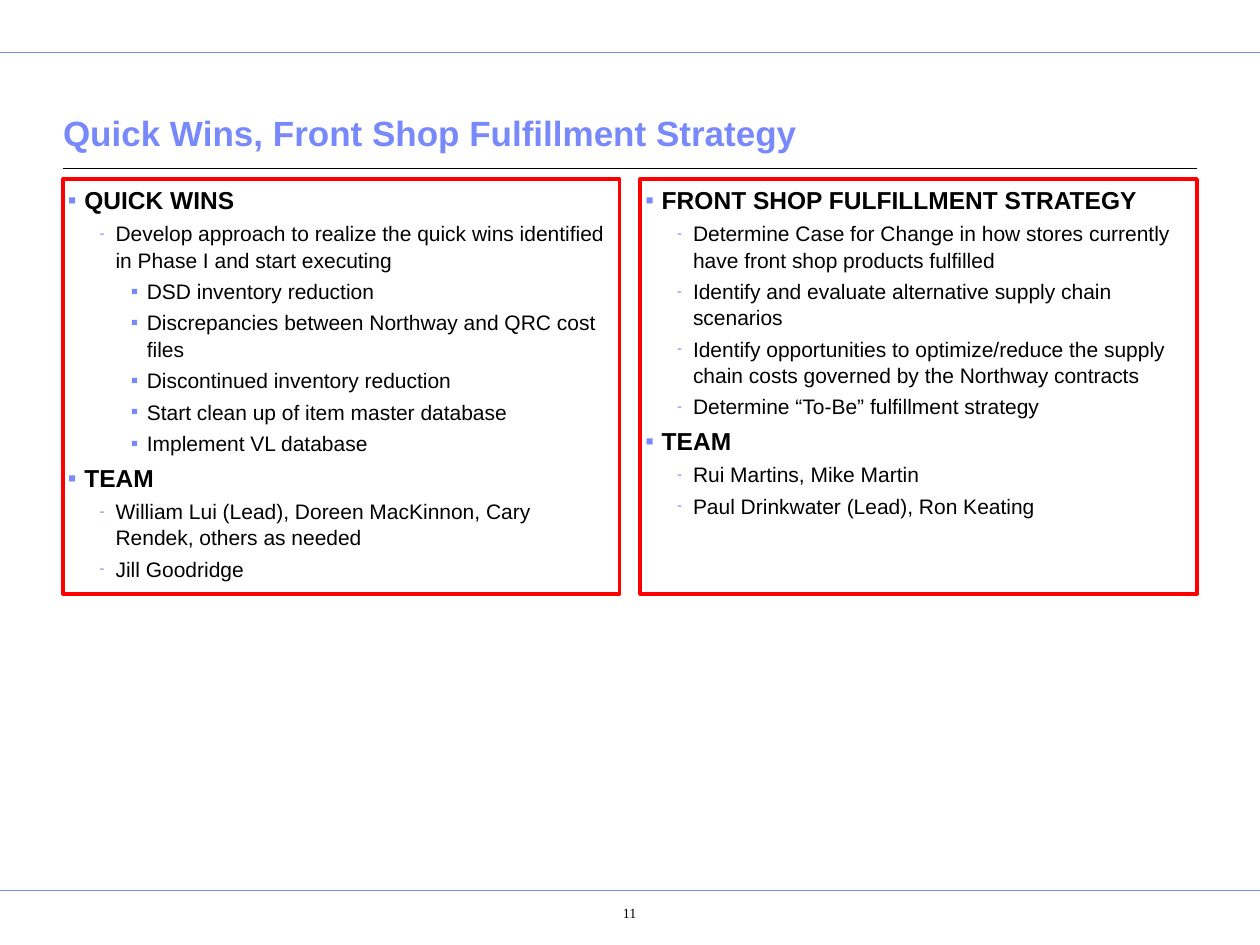
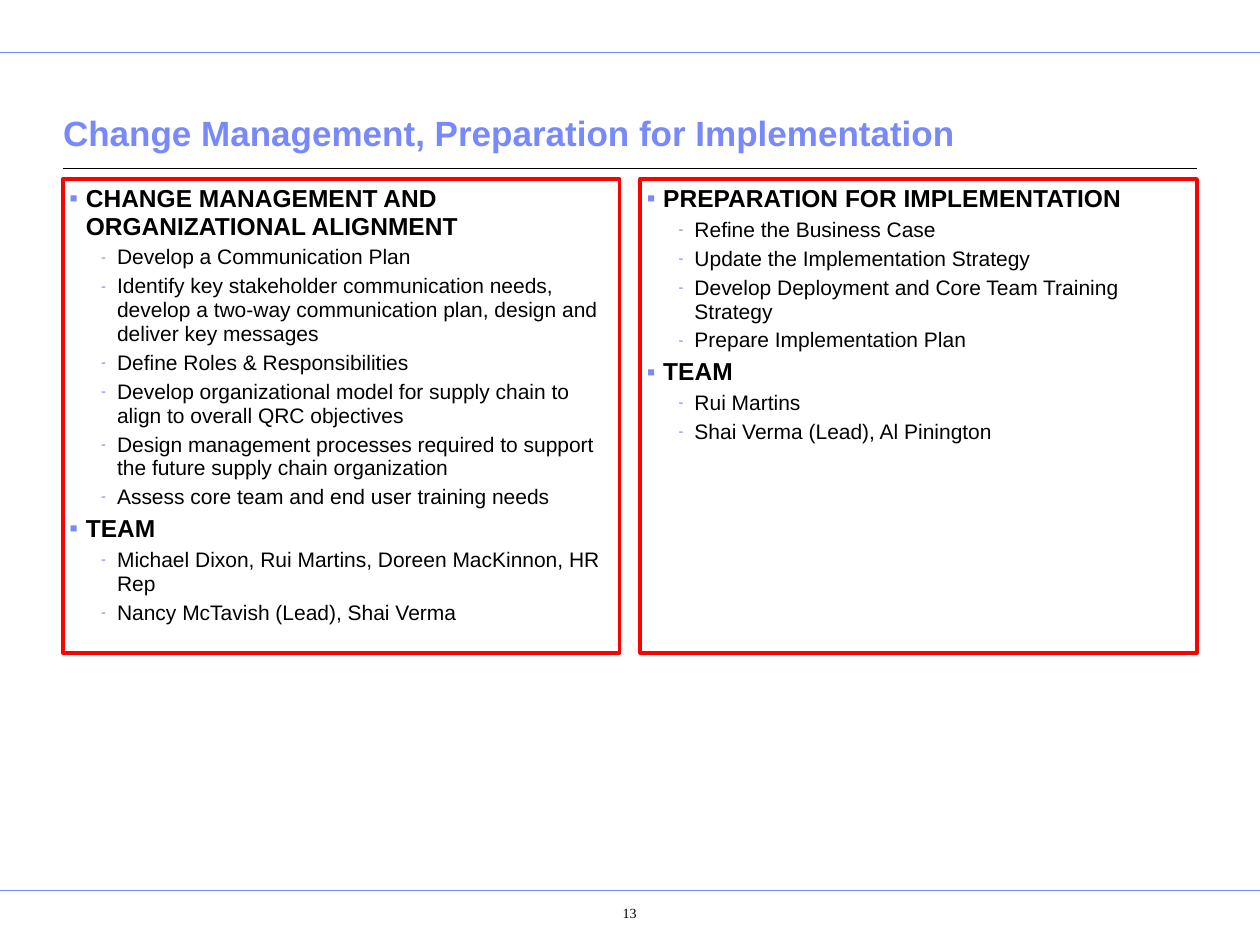
from lxml import etree
from pptx import Presentation
from pptx.dml.color import RGBColor as RGB
from pptx.enum.shapes import MSO_CONNECTOR as CONN
from pptx.enum.text import MSO_ANCHOR as ANCHOR, MSO_AUTO_SIZE as AUTO, PP_ALIGN as ALIGN
from pptx.oxml.ns import qn
from pptx.util import Cm, Pt

COLORS = {"accent": "7889FB", "ink": "000000", "frame": "FF0000"}

# Per outline level: indent and hanging (cm), bullet, bullet size %, text size, bold, space before
LEVELS = [
    (0.33, 0.33, "▪", 100, 14, True, 3.5),
    (0.96, 0.32, "-", 70, 12, False, 3),
    (1.59, 0.32, "▪", 100, 12, False, 3),
]

# Rules across each slide: left, right, height (cm), colour, weight (pt)
RULES = [
    (0, 25.4, 1.06, "accent", 0.5),
    (0, 25.4, 17.96, "accent", 0.5),
    (1.27, 24.13, 3.4, "ink", 0.75),
]

# Columns hold (outline level, text) pairs
SLIDES = [
    {
        "title": "Quick Wins, Front Shop Fulfillment Strategy",
        "number": "11", "height": 8.36, "inset": 0.1, "spacing": 1.04,
        "columns": [
            [
                (0, "QUICK WINS"),
                (1, "Develop approach to realize the quick wins identified in Phase I and start executing"),
                (2, "DSD inventory reduction"),
                (2, "Discrepancies between Northway and QRC cost files"),
                (2, "Discontinued inventory reduction"),
                (2, "Start clean up of item master database"),
                (2, "Implement VL database"),
                (0, "TEAM"),
                (1, "William Lui (Lead), Doreen MacKinnon, Cary Rendek, others as needed"),
                (1, "Jill Goodridge"),
            ],
            [
                (0, "FRONT SHOP FULFILLMENT STRATEGY"),
                (1, "Determine Case for Change in how stores currently have front shop products fulfilled"),
                (1, "Identify and evaluate alternative supply chain scenarios"),
                (1, "Identify opportunities to optimize/reduce the supply chain costs governed by the Northway contracts"),
                (1, "Determine “To-Be” fulfillment strategy"),
                (0, "TEAM"),
                (1, "Rui Martins, Mike Martin"),
                (1, "Paul Drinkwater (Lead), Ron Keating"),
            ],
        ],
    },
    {
        "title": "Change Management, Preparation for Implementation",
        "number": "13", "height": 9.55, "inset": 0.13, "spacing": 0.94,
        "columns": [
            [
                (0, "CHANGE MANAGEMENT AND ORGANIZATIONAL ALIGNMENT"),
                (1, "Develop a Communication Plan"),
                (1, "Identify key stakeholder communication needs, develop a two-way communication plan, design and deliver key messages"),
                (1, "Define Roles & Responsibilities"),
                (1, "Develop organizational model for supply chain to align to overall QRC objectives"),
                (1, "Design management processes required to support the future supply chain organization"),
                (1, "Assess core team and end user training needs"),
                (0, "TEAM"),
                (1, "Michael Dixon, Rui Martins, Doreen MacKinnon, HR Rep"),
                (1, "Nancy McTavish (Lead), Shai Verma"),
            ],
            [
                (0, "PREPARATION FOR IMPLEMENTATION"),
                (1, "Refine the Business Case"),
                (1, "Update the Implementation Strategy"),
                (1, "Develop Deployment and Core Team Training Strategy"),
                (1, "Prepare Implementation Plan"),
                (0, "TEAM"),
                (1, "Rui Martins"),
                (1, "Shai Verma (Lead), Al Pinington"),
            ],
        ],
    },
]


def set_frame(sp, box, insets, anchor):
    """Place a text shape, set its insets and return its text frame."""
    sp.left, sp.top, sp.width, sp.height = [Cm(v) for v in box]
    tf = sp.text_frame
    tf.word_wrap = True
    tf.auto_size = AUTO.NONE
    tf.vertical_anchor = anchor
    tf.margin_left, tf.margin_top, tf.margin_right, tf.margin_bottom = [Cm(v) for v in insets]
    return tf


def add_run(p, text, size, color, bold=False, font="Arial"):
    r = p.add_run()
    r.text = text
    r.font.name = font
    r.font.size = Pt(size)
    r.font.bold = bold
    r.font.color.rgb = RGB.from_string(COLORS[color])


prs = Presentation()
prs.slide_width, prs.slide_height = Cm(25.4), Cm(19.05)
two_content = prs.slide_layouts[3]

for data in SLIDES:
    s = prs.slides.add_slide(two_content)

    # Header, footer and title rules
    for left, right, y, color, weight in RULES:
        line = s.shapes.add_connector(CONN.STRAIGHT, Cm(left), Cm(y), Cm(right), Cm(y))
        line.line.color.rgb = RGB.from_string(COLORS[color])
        line.line.width = Pt(weight)
        etree.SubElement(line._element.spPr, qn("a:effectLst"))

    # Title
    tf = set_frame(s.shapes.title, (1.27, 1.63, 22.86, 1.6), (0, 0.13, 0, 0.13), ANCHOR.BOTTOM)
    p = tf.paragraphs[0]
    p.alignment = ALIGN.LEFT
    add_run(p, data["title"], 20, "accent", True)

    # Two framed lists
    for col, items in enumerate(data["columns"]):
        sp = s.placeholders[col + 1]
        box = (1.27 + col * 11.64, 3.61, 11.22, data["height"])
        tf = set_frame(sp, box, [data["inset"]] * 4, ANCHOR.TOP)
        sp.line.color.rgb = RGB.from_string(COLORS["frame"])
        sp.line.width = Pt(2.25)
        for i, (level, text) in enumerate(items):
            indent, hang, mark, mark_size, size, bold, before = LEVELS[level]
            p = tf.add_paragraph() if i else tf.paragraphs[0]
            p.level = level
            pPr = p._p.get_or_add_pPr()
            pPr.set("marL", str(Cm(indent)))
            pPr.set("indent", str(-Cm(hang)))
            bu_color = etree.SubElement(pPr, qn("a:buClr"))
            etree.SubElement(bu_color, qn("a:srgbClr"), val=COLORS["accent"])
            etree.SubElement(pPr, qn("a:buSzPct"), val=str(mark_size * 1000))
            etree.SubElement(pPr, qn("a:buFont"), typeface="Arial")
            etree.SubElement(pPr, qn("a:buChar"), char=mark)
            p.line_spacing = data["spacing"]
            p.space_before = Pt(before if i else 0)
            add_run(p, text, size, "ink", bold)

    # Page number
    box = (10.85, 18.06, 2.92, 0.89)
    sp = s.shapes.add_textbox(*[Cm(v) for v in box])
    tf = set_frame(sp, box, (0.41, 0.18, 0.25, 0.13), ANCHOR.TOP)
    p = tf.paragraphs[0]
    p.alignment = ALIGN.CENTER
    p._p.get_or_add_pPr().set("marL", str(Cm(0.61)))
    add_run(p, data["number"], 8, "ink", font="Times New Roman")

prs.save("out.pptx")
